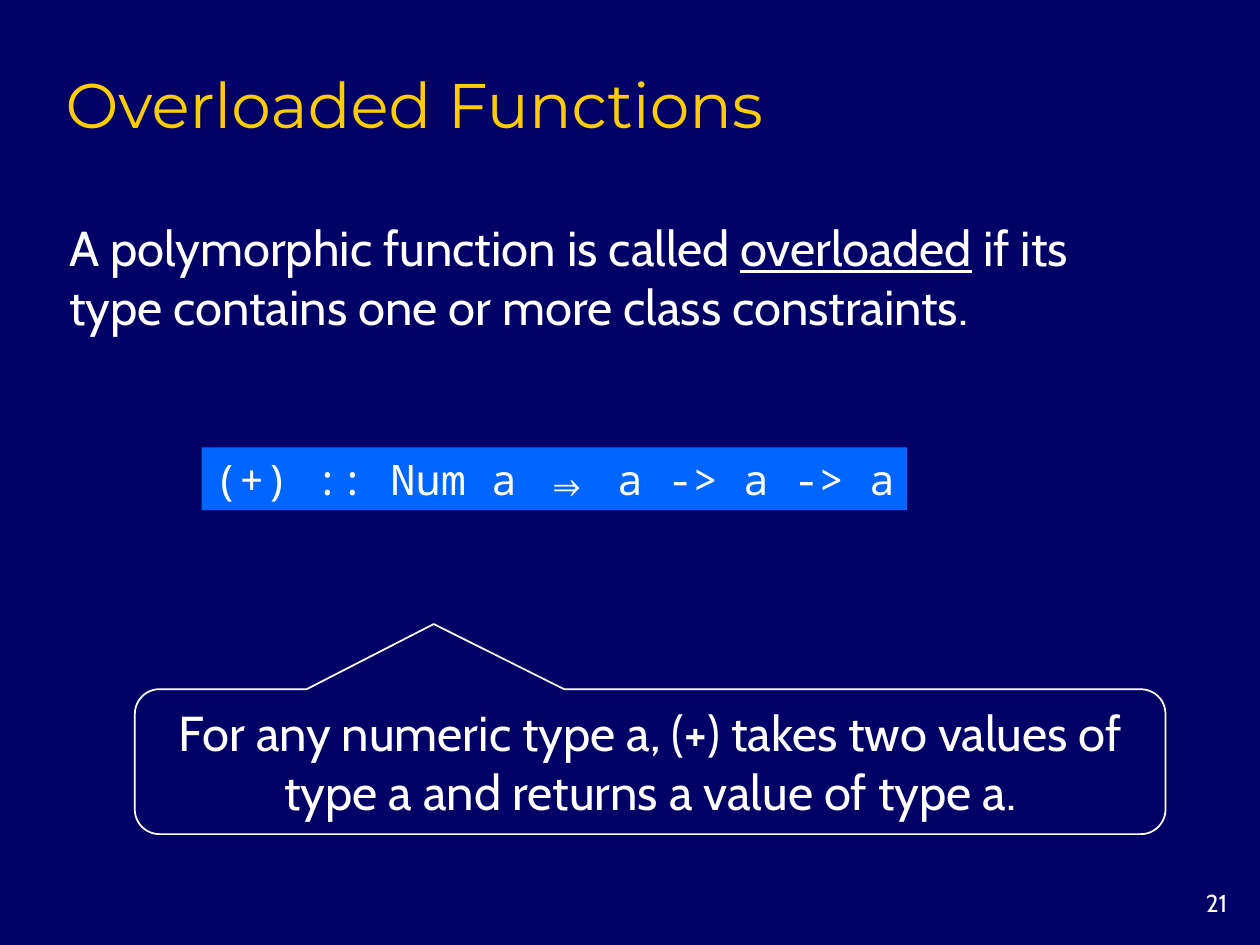
from pptx import Presentation
from pptx import util as u
from pptx.dml.color import RGBColor
from pptx.enum import shapes, text

COLORS = {"navy": "000066", "gold": "FFCC00", "white": "FFFFFF", "blue": "0066FF"}


def place(shape, left, top, width, height):
    shape.left, shape.top = u.Inches(left), u.Inches(top)
    shape.width, shape.height = u.Inches(width), u.Inches(height)


def write(shape, spans, font, size, color, align, anchor, wrap=True):
    frame = shape.text_frame
    frame.auto_size = text.MSO_AUTO_SIZE.NONE
    frame.word_wrap = wrap
    frame.vertical_anchor = anchor
    para = frame.paragraphs[0]
    para.alignment = align
    for words, underline in spans:
        span = para.add_run()
        span.text = words
        style = {"name": font, "size": u.Pt(size), "underline": underline, "bold": False}
        for key, value in style.items():
            setattr(span.font, key, value)
        span.font.color.rgb = RGBColor.from_string(COLORS[color])


deck = Presentation()
deck.slide_width, deck.slide_height = u.Inches(10), u.Inches(7.5)
page = deck.slides.add_slide(deck.slide_layouts[5])
page.background.fill.solid()
page.background.fill.fore_color.rgb = RGBColor.from_string(COLORS["navy"])

title = page.shapes.title
number = page.shapes.add_textbox(0, 0, 0, 0)
definition = page.shapes.add_textbox(0, 0, 0, 0)
signature = page.shapes.add_shape(shapes.MSO_SHAPE.RECTANGLE, 0, 0, 0, 0)
callout = page.shapes.add_shape(shapes.MSO_SHAPE.ROUNDED_RECTANGULAR_CALLOUT, 0, 0, 0, 0)

signature.shadow.inherit = False
signature.fill.solid()
signature.fill.fore_color.rgb = RGBColor.from_string(COLORS["blue"])
signature.line.fill.background()

callout.shadow.inherit = False
callout.fill.background()
callout.line.color.rgb = RGBColor.from_string(COLORS["white"])
callout.line.width = u.Pt(1)
for index, value in enumerate((-0.21, -0.95, 0.17)):
    callout.adjustments[index] = value

place(title, 0.42, 0.42, 8.5, 0.75)
place(number, 9.17, 7, 0.67, 0.33)
place(definition, 0.45, 1.68, 8.91, 1.03)
place(signature, 1.6, 3.55, 5.6, 0.5)
place(callout, 1.07, 5.47, 8.18, 1.15)

left, center, right = text.PP_ALIGN.LEFT, text.PP_ALIGN.CENTER, text.PP_ALIGN.RIGHT
top, middle, bottom = text.MSO_ANCHOR.TOP, text.MSO_ANCHOR.MIDDLE, text.MSO_ANCHOR.BOTTOM

write(title, [("Overloaded Functions", False)], "Montserrat", 36, "gold", left, bottom)
write(number, [("21", False)], "Cabin", 14, "white", right, top)
write(definition, [
    ("A polymorphic function is called ", False),
    ("overloaded", True),
    (" if its type contains one or more class constraints.", False),
], "Cabin", 28, "white", left, middle)
write(signature, [("(+) :: Num a ⇒ a -> a -> a", False)],
      "Noto Sans Mono", 24, "white", left, middle, wrap=False)
write(callout, [
    ("For any numeric type a, (+) takes two values of type a and returns a value of type a.", False),
], "Cabin", 28, "white", center, middle)

deck.save("out.pptx")
